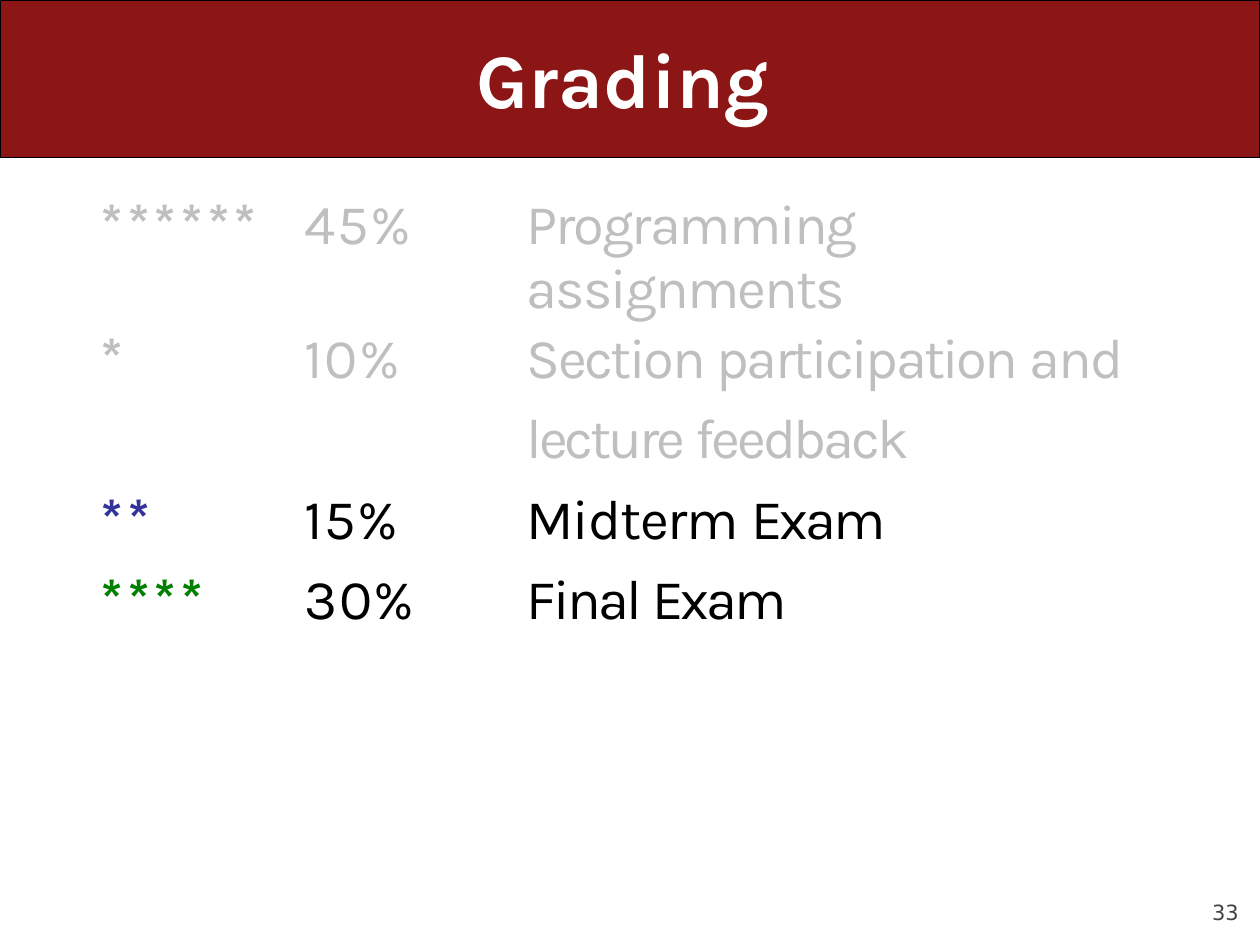
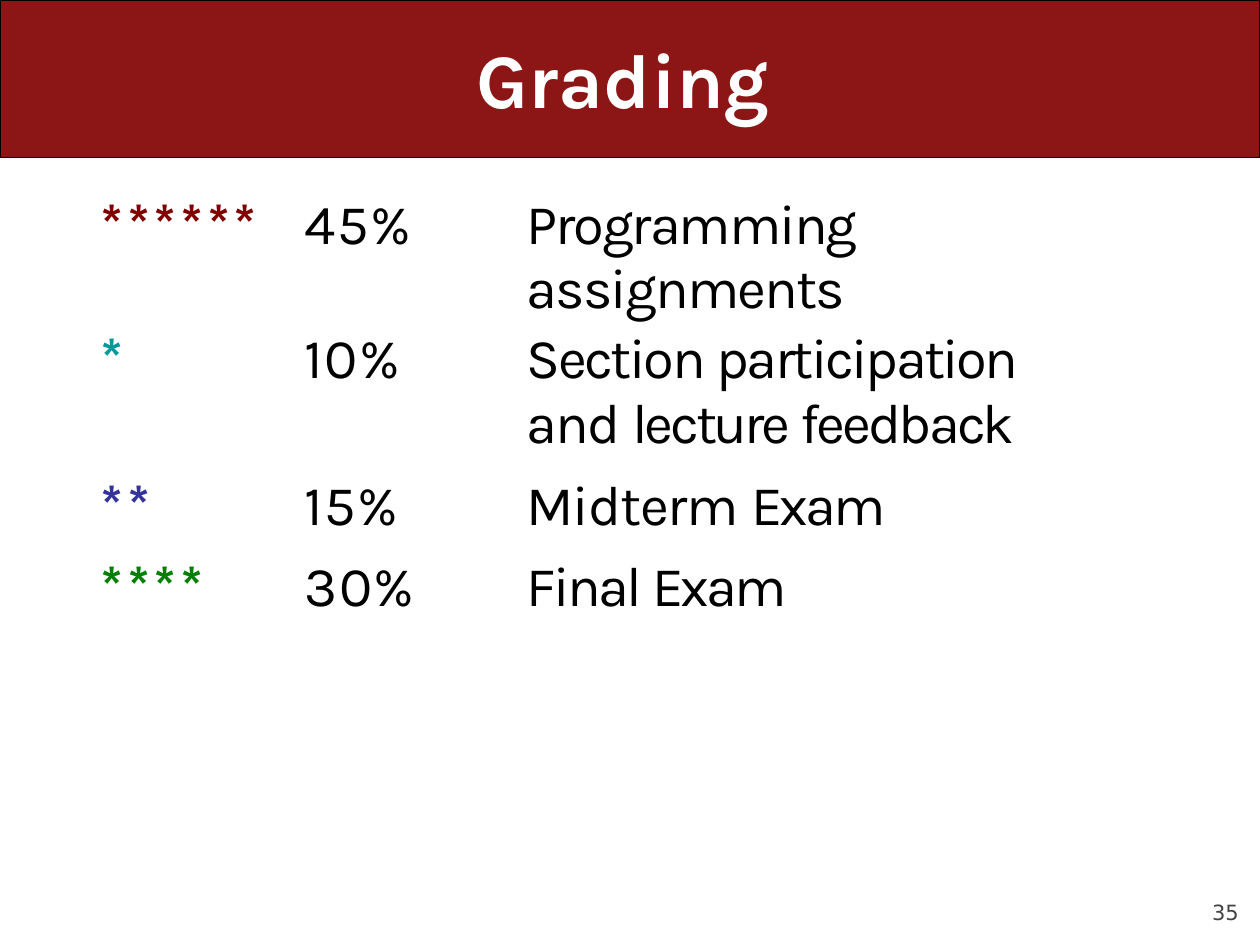
from dataclasses import dataclass

from pptx import Presentation
from pptx import util as u
from pptx.dml.color import RGBColor
from pptx.enum import shapes


@dataclass(frozen=True)
class Theme:
    """Colours, fonts and type sizes that the slides share."""
    band: str = "8C1515"
    title: str = "FFFFFF"
    ink: str = "000000"
    faded: str = "BFBFBF"
    number: str = "424242"
    assignments: str = "800000"
    section: str = "009999"
    midterm: str = "333399"
    final: str = "008000"
    font: str = "Karla"
    number_font: str = "DejaVu Sans"
    title_size: float = 44
    body_size: float = 32
    number_size: float = 12


T = Theme()
COLUMNS = (1.51, 1.41, 5.3)
INDENTS = (0.03, 0.14, 0.49)
TITLE = [("G", -0.1), ("ra", 0), ("d", 0.1), ("ing", -0.1)]
PROGRAMMING = [("Programming ", -1.2), ("assignments", -1.1)]
SECTION = [("Section ", -1.4), ("participation ", -1.5)]
FEEDBACK = [("lecture ", -1.8), ("feedback", -1.7)]
MIDTERM = [("Midterm ", -0.7), ("Exam", -1.7)]
FINAL = [("Final ", -1.6), ("Exam", -1.8)]


def rgb(code):
    """Turn a hex code into a colour."""
    return RGBColor.from_string(code)


def write(tf, runs, size=T.body_size, font=T.font, color=T.ink, bold=False,
          indent=0, before=None, line=None, top=0.01, right=0):
    """Fill a text frame with one paragraph of (text, letter spacing) runs."""
    p = tf.paragraphs[0]
    p._p.get_or_add_pPr().set("marL", str(u.Inches(indent)))
    if before is not None:
        p.space_before = u.Pt(before)
    if line is not None:
        p.line_spacing = u.Pt(line)
    for words, spacing in runs:
        r = p.add_run()
        r.text = words
        r.font.size, r.font.name, r.font.bold = u.Pt(size), font, bold
        r.font.color.rgb = rgb(color)
        r._r.get_or_add_rPr().set("spc", str(round(spacing * 100)))
    return top, right


def add_label(s, box, runs, **style):
    """Add a text box with tight margins."""
    tf = s.shapes.add_textbox(*map(u.Inches, box)).text_frame
    tf.word_wrap = True
    tf.margin_left = tf.margin_right = tf.margin_bottom = 0
    tf.margin_top = u.Inches(0.01)
    write(tf, runs, **style)


def add_header(s, box):
    """Draw the title band and the title inside it."""
    left, top, width, height = box
    sp = s.shapes.add_shape(shapes.MSO_SHAPE.RECTANGLE, *map(u.Inches, box))
    sp.shadow.inherit = False
    sp.fill.solid()
    sp.fill.fore_color.rgb = rgb(T.band)
    sp.line.color.rgb = rgb(T.ink)
    sp.line.width = u.Pt(0.75)
    title_width = 2.46
    add_label(s, (left + (width - title_width) / 2, top + 0.24, title_width, 0.76),
              TITLE, size=T.title_size, color=T.title, bold=True, indent=0.01)


def add_number(s, box, number):
    """Write the slide number."""
    add_label(s, box, [(number, 0)], size=T.number_size, font=T.number_font,
              color=T.number, indent=0.03)


def add_grades(s, left, top, rows, inset):
    """Add the table of stars, weights and graded parts."""
    heights = [row[0] for row in rows]
    table = s.shapes.add_table(
        len(rows), len(COLUMNS),
        *map(u.Inches, (left, top, sum(COLUMNS), sum(heights)))).table
    table.first_row = table.horz_banding = False
    for column, width in zip(table.columns, COLUMNS):
        column.width = u.Inches(width)
    for i, (height, stars, star_color, share, color, part) in enumerate(rows):
        table.rows[i].height = u.Inches(height)
        spacing = {"line": 36.8} if i == 0 else {"before": 1.9}
        star_gap = 2.1 if len(stars) > 1 else 0
        contents = ([(stars, star_gap)], [(share, 0.8)], part)
        for j, runs in enumerate(contents):
            cell = table.cell(i, j)
            cell.fill.background()
            cell.margin_left = cell.margin_bottom = 0
            cell.margin_right = u.Inches(inset if j == 2 else 0)
            cell.margin_top = u.Inches(0.03 if i else 0)
            if runs[0][0]:
                write(cell.text_frame, runs, color=color if j else star_color,
                      bold=j == 0, indent=INDENTS[j], **spacing)


def add_grading_slide(prs, number, rows, inset=0):
    """Build one grading slide."""
    s = prs.slides.add_slide(prs.slide_layouts[6])
    add_header(s, (0, 0, 10, 1.25))
    add_grades(s, 0.77, 1.54, rows, inset)
    add_number(s, (9.59, 7.13, 0.27, 0.23), number)


def main():
    """Build the deck and save it."""
    prs = Presentation()
    prs.slide_width, prs.slide_height = u.Inches(10), u.Inches(7.5)
    exams = [
        (0.64, "**", T.midterm, "15%", T.ink, MIDTERM),
        (0.59, "****", T.final, "30%", T.ink, FINAL),
    ]
    add_grading_slide(prs, "33", [
        (0.59, "******", T.faded, "45%", T.faded, PROGRAMMING),
        (0.64, "*", T.faded, "10%", T.faded, SECTION + [("and", -1.1)]),
        (0.64, "", T.faded, "", T.faded, FEEDBACK),
        *exams,
    ])
    add_grading_slide(prs, "35", [
        (0.59, "******", T.assignments, "45%", T.ink, PROGRAMMING),
        (1.17, "*", T.section, "10%", T.ink, SECTION + [("and ", -1.1)] + FEEDBACK),
        *exams,
    ], inset=0.3)
    prs.save("out.pptx")


if __name__ == "__main__":
    main()
